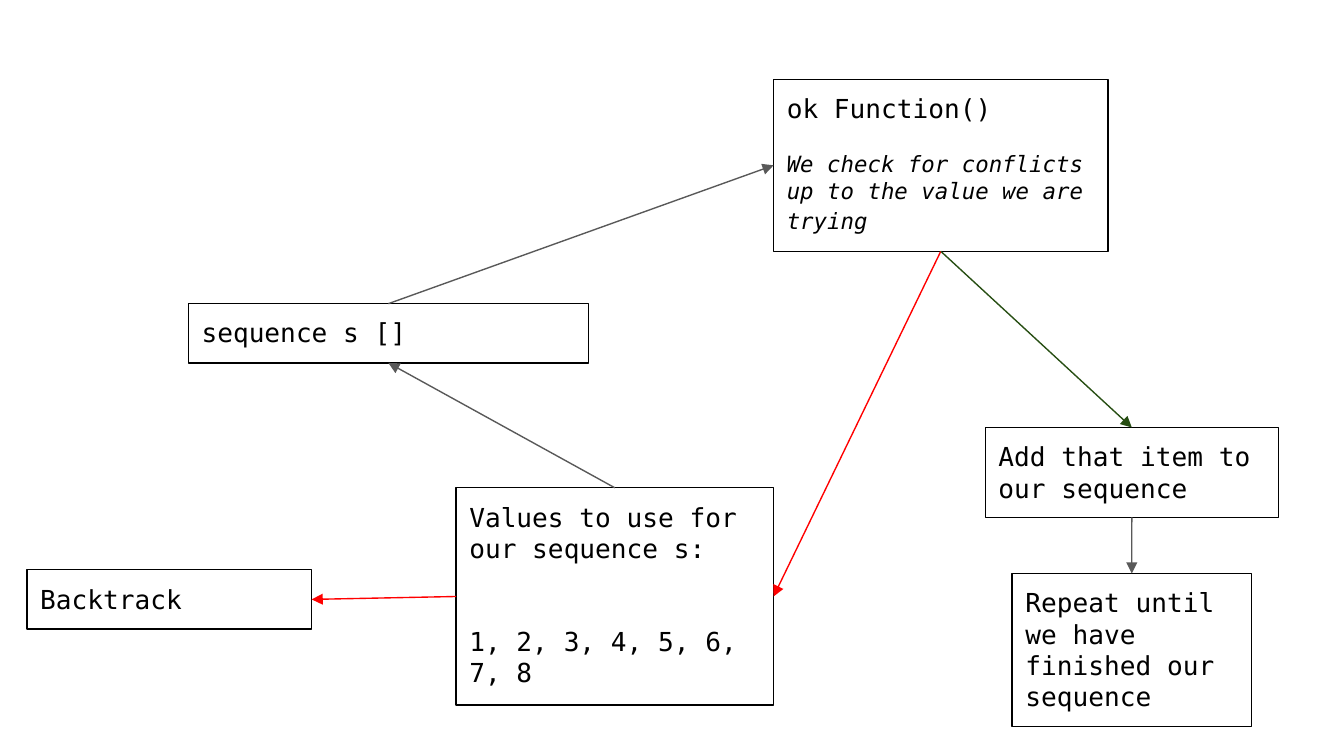
from lxml.etree import SubElement
from pptx import Presentation
from pptx.dml.color import RGBColor
from pptx.enum.shapes import MSO_CONNECTOR, MSO_SHAPE
from pptx.enum.text import MSO_ANCHOR, MSO_AUTO_SIZE, PP_ALIGN
from pptx.oxml.ns import qn
from pptx.util import Cm, Pt

TOP, LEFT, BOTTOM, RIGHT = range(4)
BLACK, GREY, RED, GREEN = "000000", "595959", "FF0000", "274E13"


def colour(value):
    return RGBColor.from_string(value)


def apply(target, formats):
    for name, value in formats.items():
        setattr(target, name, value)


class FlowSlide:
    """Draws outlined boxes and arrows in one style on the current slide."""

    font = {"name": "DejaVu Sans Mono", "size": Pt(14), "italic": False}
    frame = {
        "word_wrap": True,
        "auto_size": MSO_AUTO_SIZE.SHAPE_TO_FIT_TEXT,
        "vertical_anchor": MSO_ANCHOR.TOP,
        "margin_left": Cm(0.25),
        "margin_right": Cm(0.25),
        "margin_top": Cm(0.25),
        "margin_bottom": Cm(0.25),
    }
    stroke = Pt(0.75)

    def __init__(self, slide):
        self.slide = slide

    def box(self, left, top, width, height, *paragraphs, gap=0):
        place = map(Cm, (left, top, width, height))
        step = self.slide.shapes.add_shape(MSO_SHAPE.RECTANGLE, *place)
        step.shadow.inherit = False
        step.fill.background()
        step.line.width = self.stroke
        step.line.color.rgb = colour(BLACK)
        apply(step.text_frame, self.frame)
        for index, runs in enumerate(paragraphs):
            body = step.text_frame
            paragraph = body.add_paragraph() if index else body.paragraphs[0]
            spacing = Pt(gap if index else 0)
            apply(paragraph, {"alignment": PP_ALIGN.LEFT, "space_before": spacing})
            for words, formats in runs:
                run = paragraph.add_run()
                run.text = words
                apply(run.font, {**self.font, **formats})
                run.font.color.rgb = colour(BLACK)
        return step

    def arrow(self, source, source_side, target, target_side, hue=GREY):
        link = self.slide.shapes.add_connector(MSO_CONNECTOR.STRAIGHT, 0, 0, 0, 0)
        link.begin_connect(source, source_side)
        link.end_connect(target, target_side)
        link.line.width = self.stroke
        link.line.color.rgb = colour(hue)
        properties = link.element.spPr
        SubElement(properties.find(qn("a:ln")), qn("a:tailEnd"), type="triangle")
        SubElement(properties, qn("a:effectLst"))


def plain(words):
    return [(words, {})]


def main():
    deck = Presentation()
    apply(deck, {"slide_width": Cm(25.4), "slide_height": Cm(14.29)})
    flow = FlowSlide(deck.slides.add_slide(deck.slide_layouts[6]))

    conflict_note = [
        (
            "We check for conflicts up to the value we are trying",
            {"size": Pt(12), "italic": True},
        ),
        (" ", {}),
    ]
    sequence = flow.box(3.56, 5.74, 7.56, 1.12, plain("sequence s []"))
    check = flow.box(
        14.62, 1.5, 6.32, 3.25, plain("ok Function()"), conflict_note, gap=14
    )
    values = flow.box(
        8.62, 9.22, 6, 4.11,
        plain("Values to use for our sequence s:"),
        plain("1, 2, 3, 4, 5, 6, 7, 8"),
        gap=33,
    )
    addition = flow.box(18.62, 8.08, 5.54, 1.7, plain("Add that item to our sequence"))
    repeat = flow.box(
        19.13, 10.84, 4.52, 2.9, plain("Repeat until we have finished our sequence")
    )
    backtrack = flow.box(0.51, 10.77, 5.38, 1.12, plain("Backtrack"))

    flow.arrow(sequence, TOP, check, LEFT)
    flow.arrow(values, TOP, sequence, BOTTOM)
    flow.arrow(check, BOTTOM, values, RIGHT, RED)
    flow.arrow(check, BOTTOM, addition, TOP, GREEN)
    flow.arrow(addition, BOTTOM, repeat, TOP)
    flow.arrow(values, LEFT, backtrack, RIGHT, RED)
    deck.save("out.pptx")


if __name__ == "__main__":
    main()
